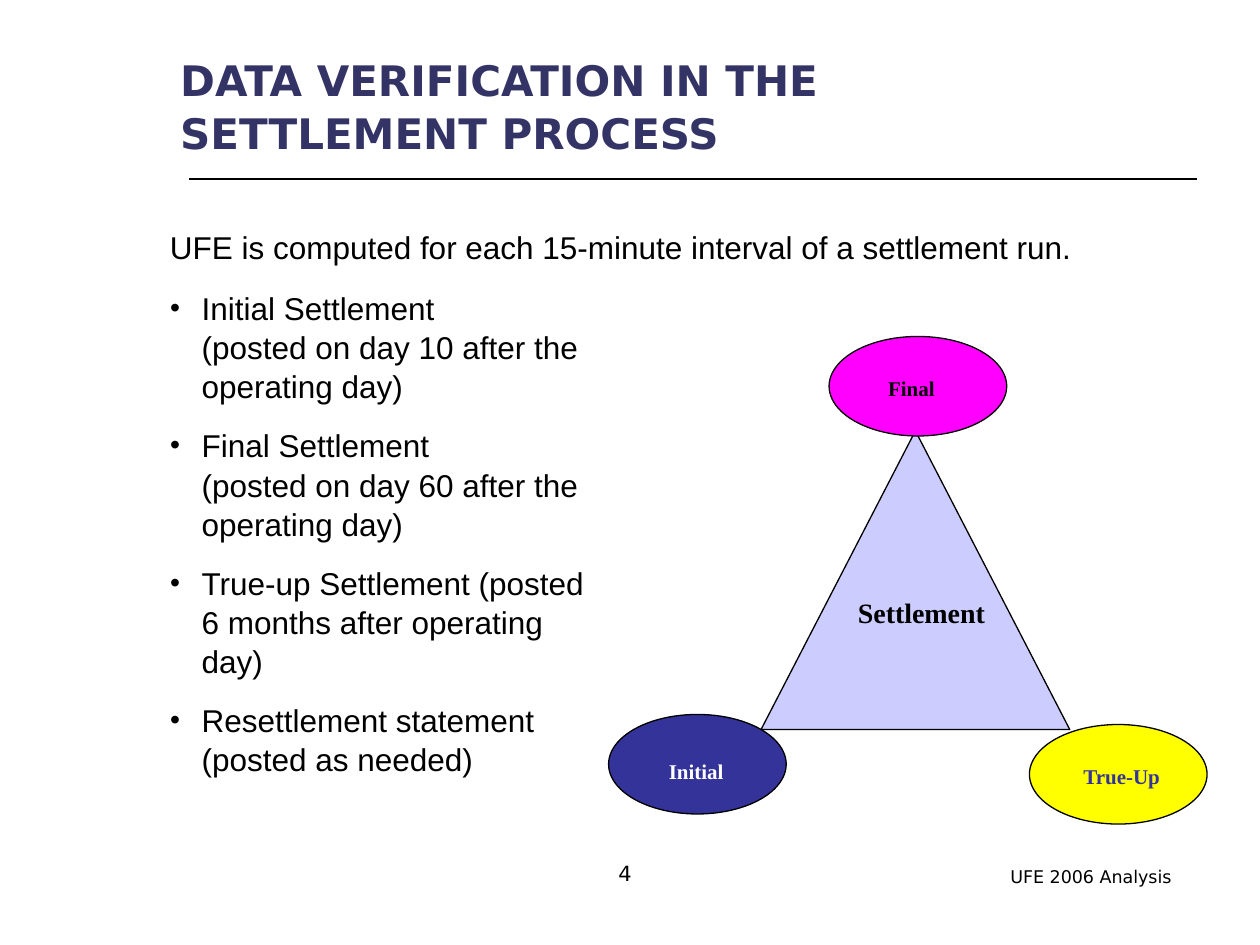
from dataclasses import dataclass

from lxml import etree
from pptx import Presentation
from pptx.dml.color import RGBColor
from pptx.enum import shapes, text
from pptx.oxml import ns
from pptx.util import Inches, Pt


@dataclass(frozen=True)
class Theme:
    heading_font: str = "DejaVu Sans"
    body_font: str = "Arial"
    diagram_font: str = "Times New Roman"
    black: str = "000000"
    white: str = "FFFFFF"
    heading: str = "333366"
    lavender: str = "CCCCFF"
    indigo: str = "333399"
    yellow: str = "FFFF00"
    magenta: str = "FF00FF"
    title_size: float = 24
    body_size: float = 18
    centre_size: float = 16
    label_size: float = 12
    footer_size: float = 10
    line_spacing: float = 1.04


theme = Theme()


def write(shape, words, font, size, color, bold=False,
          align=text.PP_ALIGN.LEFT, anchor=text.MSO_ANCHOR.TOP):
    """Put text in a shape and format every run alike."""
    frame = shape.text_frame
    frame.text = words
    frame.word_wrap = True
    frame.auto_size = text.MSO_AUTO_SIZE.NONE
    frame.vertical_anchor = anchor
    for paragraph in frame.paragraphs:
        paragraph.alignment = align
        paragraph.line_spacing = theme.line_spacing
        paragraph.space_before = Pt(0)
        for run in paragraph.runs:
            run.font.name, run.font.size, run.font.bold = font, Pt(size), bold
            run.font.color.rgb = RGBColor.from_string(color)
    return frame


def place(shape, left, top, width, height):
    shape.left, shape.top = Inches(left), Inches(top)
    shape.width, shape.height = Inches(width), Inches(height)


prs = Presentation()
prs.slide_width, prs.slide_height = Inches(10), Inches(7.5)
slide = prs.slides.add_slide(prs.slide_layouts[1])
title, settlement_list = slide.placeholders

# Title and rule
place(title, 1.33, 0.52, 5.93, 0.63)
write(title, "DATA VERIFICATION IN THE SETTLEMENT PROCESS", theme.heading_font,
      theme.title_size, theme.heading, bold=True, anchor=text.MSO_ANCHOR.MIDDLE)

rule = slide.shapes.add_connector(shapes.MSO_CONNECTOR.STRAIGHT,
                                  Inches(1.5), Inches(1.42), Inches(9.5), Inches(1.42))
rule.line.width = Pt(1)
rule.line.color.rgb = RGBColor.from_string(theme.black)
etree.SubElement(rule._element.spPr, ns.qn("a:effectLst"))

# Introduction
intro = slide.shapes.add_textbox(Inches(1.25), Inches(1.75), Inches(7.92), Inches(0.5))
write(intro, "UFE is computed for each 15-minute interval of a settlement run.",
      theme.body_font, theme.body_size, theme.black)

# Settlement list
settlements = [
    "Initial Settlement\v(posted on day 10 after the operating day)",
    "Final Settlement\v(posted on day 60 after the operating day)",
    "True-up Settlement (posted 6 months after operating day)",
    "Resettlement statement (posted as needed)",
]
place(settlement_list, 1.25, 2.23, 3.67, 3.87)
list_frame = write(settlement_list, "\n".join(settlements), theme.body_font,
                   theme.body_size, theme.black)
for number, paragraph in enumerate(list_frame.paragraphs):
    props = paragraph._p.get_or_add_pPr()
    props.set("marL", str(Inches(0.25)))
    props.set("indent", str(-Inches(0.25)))
    bullet_color = etree.SubElement(props, ns.qn("a:buClr"))
    etree.SubElement(bullet_color, ns.qn("a:srgbClr"), val=theme.black)
    etree.SubElement(props, ns.qn("a:buSzPct"), val="90000")
    etree.SubElement(props, ns.qn("a:buFont"), typeface=theme.body_font)
    etree.SubElement(props, ns.qn("a:buChar"), char="•")
    if number:
        paragraph.space_before = Pt(11.2)

# Settlement triangle with a run at each corner
triangle, oval = shapes.MSO_SHAPE.ISOSCELES_TRIANGLE, shapes.MSO_SHAPE.OVAL
outlines = [
    (triangle, 6.04, 3.42, 2.45, 2.37, theme.lavender),
    (oval, 4.83, 5.67, 1.41, 0.79, theme.indigo),
    (oval, 8.17, 5.75, 1.41, 0.79, theme.yellow),
    (oval, 6.58, 2.67, 1.41, 0.79, theme.magenta),
]
for kind, left, top, width, height, fill in outlines:
    corner = slide.shapes.add_shape(kind, Inches(left), Inches(top),
                                    Inches(width), Inches(height))
    corner.shadow.inherit = False
    corner.fill.solid()
    corner.fill.fore_color.rgb = RGBColor.from_string(fill)
    corner.line.color.rgb = RGBColor.from_string(theme.black)
    corner.line.width = Pt(0.75)

# Diagram labels
labels = [
    ("Initial", 5.21, 5.96, theme.label_size, theme.white),
    ("Final", 6.95, 2.92, theme.label_size, theme.black),
    ("Settlement", 6.71, 4.67, theme.centre_size, theme.black),
    ("True-Up", 8.5, 6, theme.label_size, theme.indigo),
]
for words, left, top, size, color in labels:
    label = slide.shapes.add_textbox(Inches(left), Inches(top), Inches(1.29), Inches(0.35))
    write(label, words, theme.diagram_font, size, color, bold=True)

# Footer and page number
footer = slide.shapes.add_textbox(Inches(7.92), Inches(6.82), Inches(1.58), Inches(0.27))
write(footer, "UFE 2006 Analysis", theme.heading_font, theme.footer_size, theme.black)
page = slide.shapes.add_textbox(Inches(4.42), Inches(6.75), Inches(1.08), Inches(0.33))
write(page, "4", theme.heading_font, theme.label_size, theme.black,
      align=text.PP_ALIGN.CENTER, anchor=text.MSO_ANCHOR.BOTTOM)

prs.save("out.pptx")
